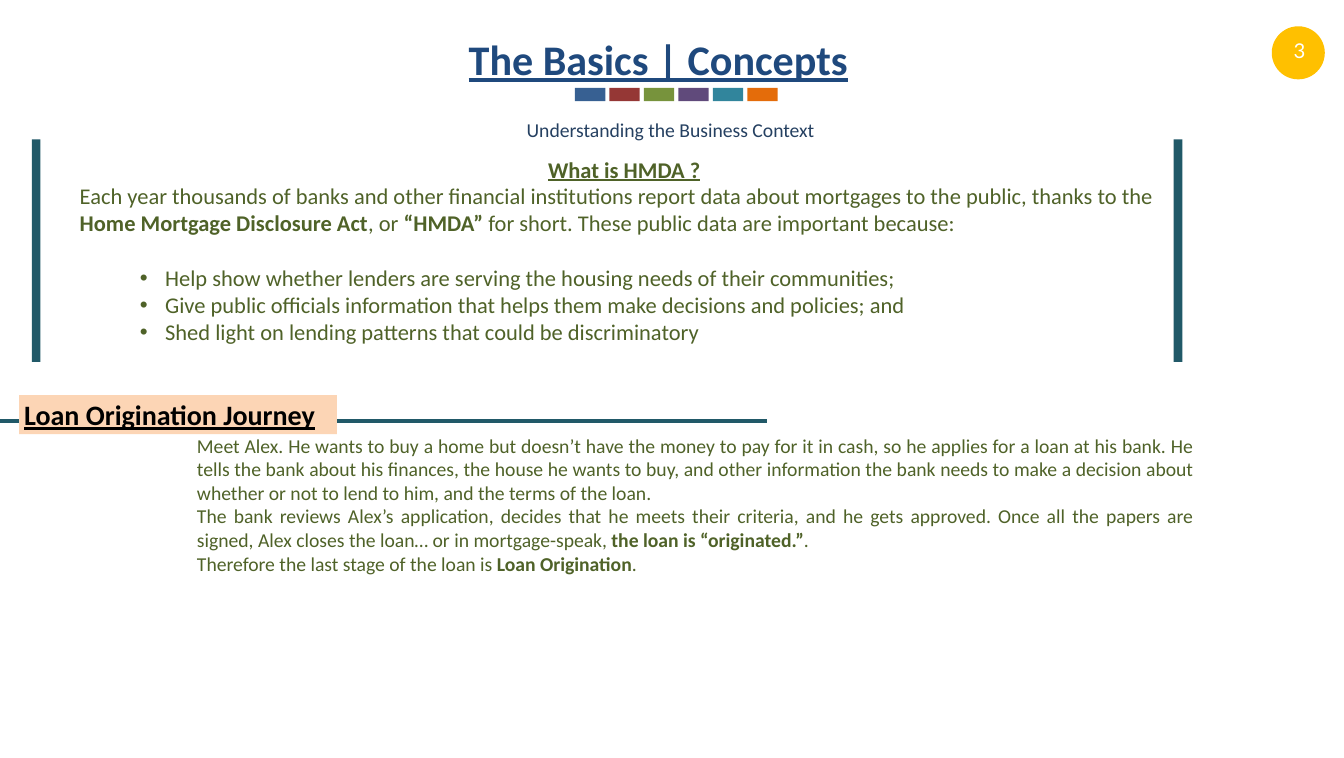
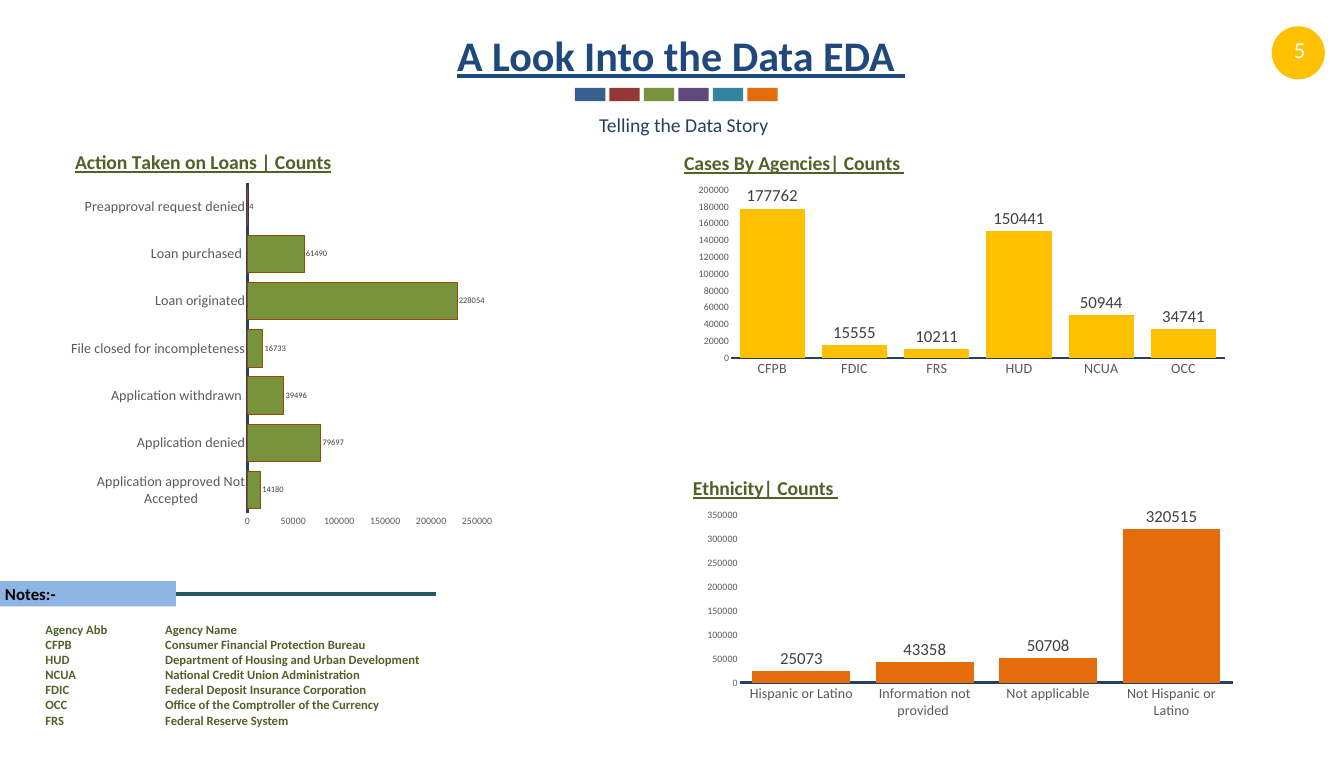
"""Builds two slides on mortgage data: the concepts and a look at the counts."""
from lxml import etree
from pptx import Presentation
from pptx import util as u
from pptx.chart.data import CategoryChartData
from pptx.dml.color import RGBColor
from pptx.enum import chart as charts, shapes, text
from pptx.oxml.ns import qn

COLUMNS, ROWS = 266, 150
COLORS = {
    "title": "1F497D", "navy": "254061", "green": "4F6228", "teal": "215968",
    "yellow": "FFC000", "white": "FFFFFF", "black": "000000", "peach": "FCD5B5",
    "sky": "8EB4E3", "olive": "77933C", "orange": "E46C0A", "brown": "984807",
    "blue": "376092", "red": "953735", "purple": "604A7B", "aqua": "31859C",
    "axis": "595959", "label": "404040",
}
SWATCHES = ["blue", "red", "olive", "purple", "aqua", "orange"]
LEFT, CENTER, JUSTIFY = text.PP_ALIGN.LEFT, text.PP_ALIGN.CENTER, text.PP_ALIGN.JUSTIFY


class Deck:
    """Holds the style, the grid and the current slide."""

    def __init__(self):
        self.presentation = Presentation()
        self.presentation.slide_width = u.Inches(26.6)
        self.presentation.slide_height = u.Inches(15)
        self.slide = None

    def x(self, columns):
        """Turns grid columns into a length."""
        return round(self.presentation.slide_width * columns / COLUMNS)

    def y(self, rows):
        """Turns grid rows into a length."""
        return round(self.presentation.slide_height * rows / ROWS)

    def box(self, left, top, width, height):
        """Turns a grid rectangle into lengths."""
        return self.x(left), self.y(top), self.x(width), self.y(height)

    def color(self, name):
        """Looks up a named colour."""
        return RGBColor.from_string(COLORS[name])

    def style(self, font, size, color, bold=None, underline=None, name="Calibri"):
        """Sets the look of a font."""
        font.name, font.size, font.bold, font.underline = name, u.Pt(size), bold, underline
        font.color.rgb = self.color(color)

    def new_slide(self, number, title, title_box, subtitle, subtitle_box):
        """Starts a slide with its title, subtitle, swatches and page number."""
        self.slide = self.presentation.slides.add_slide(self.presentation.slide_layouts[6])
        self.shape((251.7, 5.2, 10.5, 10.5), "yellow", shapes.MSO_SHAPE.OVAL)
        badge = self.text_box((253.6, 6.6, 7.2, 6.9), (2, 1), wrap=False)
        self.paragraph(badge, number, 29, "white", CENTER, name="Lato")
        self.paragraph(self.text_box(title_box), title, 60, "title", CENTER, bold=True, underline=True)
        caption = self.text_box(subtitle_box, (2.4, 1.2), wrap=False)
        paragraph = self.paragraph(caption, subtitle, 28, "navy", CENTER)
        paragraph.line_spacing, paragraph.space_before = 1.2, u.Pt(5.6)
        for index, name in enumerate(SWATCHES):
            self.shape((113.8 + 6.82 * index, 17.4, 6, 2.6), name)

    def shape(self, box, fill, kind=shapes.MSO_SHAPE.RECTANGLE):
        """Adds a plain filled shape and returns its text frame."""
        shape = self.slide.shapes.add_shape(kind, *self.box(*box))
        shape.shadow.inherit = False
        shape.fill.solid()
        shape.fill.fore_color.rgb = self.color(fill)
        shape.line.fill.background()
        shape.text_frame.vertical_anchor = text.MSO_ANCHOR.TOP
        return shape.text_frame

    def text_box(self, box, inset=(1, 0.5), wrap=True):
        """Adds a text box and returns its text frame."""
        frame = self.slide.shapes.add_textbox(*self.box(*box)).text_frame
        frame.word_wrap = wrap
        frame.margin_left = frame.margin_right = self.x(inset[0])
        frame.margin_top = frame.margin_bottom = self.y(inset[1])
        return frame

    def paragraph(self, frame, words, size, color, align=LEFT, bullet=False, tab=None, **look):
        """Adds a paragraph; words between double asterisks are bold."""
        paragraph = frame.paragraphs[0]
        if paragraph.runs:
            paragraph = frame.add_paragraph()
        properties = paragraph._p.get_or_add_pPr()
        if bullet:
            paragraph.level = 1
            properties.set("marL", str(self.x(16.9)))
            properties.set("indent", str(self.x(-5)))
            etree.SubElement(properties, qn("a:buFont"), typeface="Arial")
            etree.SubElement(properties, qn("a:buChar"), char="•")
        if tab:
            stops = etree.SubElement(properties, qn("a:tabLst"))
            etree.SubElement(stops, qn("a:tab"), pos=str(self.x(tab)), algn="l")
        paragraph.alignment = align
        for index, part in enumerate(words.split("**")):
            run = paragraph.add_run()
            run.text = part
            if index % 2:
                run.font.bold = True
        self.style(paragraph.font, size, color, **look)
        return paragraph

    def rule(self, row, right):
        """Adds a thick line from the left edge."""
        line = self.slide.shapes.add_connector(
            shapes.MSO_CONNECTOR.STRAIGHT, 0, self.y(row), self.x(right), self.y(row))
        line.line.color.rgb, line.line.width = self.color("teal"), u.Pt(6)
        etree.SubElement(line._element.spPr, qn("a:effectLst"))

    def place(self, parent, index, **shares):
        """Fixes a chart part at shares of the chart's size."""
        for old in parent.findall(qn("c:layout")):
            parent.remove(old)
        layout = etree.Element(qn("c:layout"))
        manual = etree.SubElement(layout, qn("c:manualLayout"))
        for tag, value in shares.items():
            etree.SubElement(manual, qn(f"c:{tag}"), val=str(value))
        parent.insert(index, layout)

    def bar_chart(self, box, kind, title, title_at, plot, counts, fill, label_size, top, step):
        """Adds a one-series bar chart with value labels and returns its series."""
        data = CategoryChartData()
        data.categories = list(counts)
        data.add_series("Series 1", list(counts.values()))
        chart = self.slide.shapes.add_chart(kind, *self.box(*box), data).chart
        chart.has_legend = False
        self.style(chart.font, 10, "black")
        chart.has_title = True
        self.paragraph(chart.chart_title.text_frame, title, 28, "green", bold=True, underline=True)
        self.place(chart.chart_title.element, 1, xMode="edge", yMode="edge",
                   x=title_at[0], y=title_at[1])
        self.place(chart.element.chart.plotArea, 0, layoutTarget="inner", xMode="edge",
                   yMode="edge", x=plot[0], y=plot[1], w=plot[2], h=plot[3])
        for axis, size in ((chart.category_axis, 20), (chart.value_axis, 14)):
            axis.has_major_gridlines = False
            axis.major_tick_mark = axis.minor_tick_mark = charts.XL_TICK_MARK.NONE
            self.style(axis.tick_labels.font, size, "axis", bold=False)
        line = chart.category_axis.format.line
        line.color.rgb, line.width = self.color("navy"), u.Pt(4)
        axis = chart.value_axis
        axis.format.line.fill.background()
        axis.minimum_scale, axis.maximum_scale, axis.major_unit = 0, top, step
        bars = chart.plots[0]
        bars.gap_width, bars.vary_by_categories = 26, False
        bars.has_data_labels = True
        labels = bars.data_labels
        labels.show_value, labels.position = True, charts.XL_LABEL_POSITION.OUTSIDE_END
        self.style(labels.font, label_size, "label")
        series = bars.series[0]
        series.format.fill.solid()
        series.format.fill.fore_color.rgb = self.color(fill)
        return series


def concepts(deck):
    """Builds the slide on the act and the loan journey."""
    deck.new_slide("3", "The Basics | Concepts", (60.3, 6.1, 140, 11.1),
                   "Understanding the Business Context", (100.1, 21.1, 65.2, 7.7))
    for left in (6.3, 232.3):
        deck.shape((left, 27.6, 1.7, 44), "teal")
    act = deck.text_box((14.8, 30.3, 217.5, 38.7))
    deck.paragraph(act, "What is HMDA ?", 32, "green", CENTER, bold=True, underline=True)
    deck.paragraph(act, "Each year thousands of banks and other financial institutions report data "
                   "about mortgages to the public, thanks to the **Home Mortgage Disclosure Act**, or "
                   "**“HMDA”** for short. These public data are important because:", 32, "green")
    reasons = [
        "Help show whether lenders are serving the housing needs of their communities;",
        "Give public officials information that helps them make decisions and policies; and",
        "Shed light on lending patterns that could be discriminatory",
    ]
    bullets = [deck.paragraph(act, reason, 32, "green", bullet=True) for reason in reasons]
    bullets[0].space_before = u.Pt(39)

    deck.rule(83.3, 151.9)
    journey = deck.text_box((38, 85.3, 199.2, 29.3))
    for words in (
        "Meet Alex. He wants to buy a home but doesn’t have the money to pay for it in cash, so he "
        "applies for a loan at his bank. He tells the bank about his finances, the house he wants to "
        "buy, and other information the bank needs to make a decision about whether or not to lend "
        "to him, and the terms of the loan.",
        "The bank reviews Alex’s application, decides that he meets their criteria, and he gets "
        "approved. Once all the papers are signed, Alex closes the loan… or in mortgage-speak, "
        "**the loan is “originated.”**.",
        "Therefore the last stage of the loan is **Loan Origination**.",
    ):
        deck.paragraph(journey, words, 28, "green", JUSTIFY)
    heading = deck.shape((3.8, 78.2, 62.9, 7.7), "peach")
    deck.paragraph(heading, "Loan Origination Journey", 40, "black", JUSTIFY, bold=True, underline=True)


def data_story(deck):
    """Builds the slide with the three charts and the agency notes."""
    deck.new_slide("5", "A Look Into the Data EDA ", (80.3, 5.3, 108.9, 11.1),
                   "Telling the Data Story", (115.2, 20.3, 40.2, 7.7))
    actions = {
        "Application approved Not Accepted": 14180, "Application denied": 79697,
        "Application withdrawn ": 39496, "File closed for incompleteness": 16733,
        "Loan originated": 228054, "Loan purchased ": 61490, "Preapproval request denied": 4,
    }
    series = deck.bar_chart((9.7, 28, 89.2, 81.8), charts.XL_CHART_TYPE.BAR_CLUSTERED,
                            "Action Taken on Loans | Counts", (0.05, 0.01), (0.44, 0.1, 0.51, 0.8),
                            actions, "olive", 12, 250000, 50000)
    series.format.line.color.rgb, series.format.line.width = deck.color("brown"), u.Pt(0.75)
    agencies = {"CFPB": 177762, "FDIC": 15555, "FRS": 10211,
                "HUD": 150441, "NCUA": 50944, "OCC": 34741}
    ethnicities = {"Hispanic or Latino": 25073, "Information not provided ": 43358,
                   "Not applicable": 50708, "Not Hispanic or Latino": 320515}
    for left, top, title, counts, fill, highest, step in (
        (133.6, 28, "Cases By Agencies| Counts ", agencies, "yellow", 200000, 20000),
        (135.3, 92.3, "Ethnicity| Counts ", ethnicities, "orange", 350000, 50000),
    ):
        deck.bar_chart((left, top, 111, 50.4), charts.XL_CHART_TYPE.COLUMN_CLUSTERED, title,
                       (0.01, 0.02), (0.1, 0.19, 0.88, 0.66), counts, fill, 24, highest, step)

    notes = deck.text_box((8, 122.5, 78.2, 22.2))
    for short, name in (
        ("Agency Abb", "Agency Name"),
        ("CFPB", "Consumer Financial Protection Bureau"),
        ("HUD", "Department of Housing and Urban Development"),
        ("NCUA", "National Credit Union Administration"),
        ("FDIC", "Federal Deposit Insurance Corporation"),
        ("OCC", "Office of the Comptroller of the Currency"),
        ("FRS", "Federal Reserve System"),
    ):
        deck.paragraph(notes, f"{short}\t{name}", 18, "green", tab=23.7, bold=True)
    deck.rule(117.5, 86.2)
    heading = deck.shape((0, 115, 34.8, 5), "sky")
    deck.paragraph(heading, "Notes:-", 24, "black", bold=True)


def main():
    """Builds and saves the presentation."""
    deck = Deck()
    concepts(deck)
    data_story(deck)
    deck.presentation.save("out.pptx")


if __name__ == "__main__":
    main()
